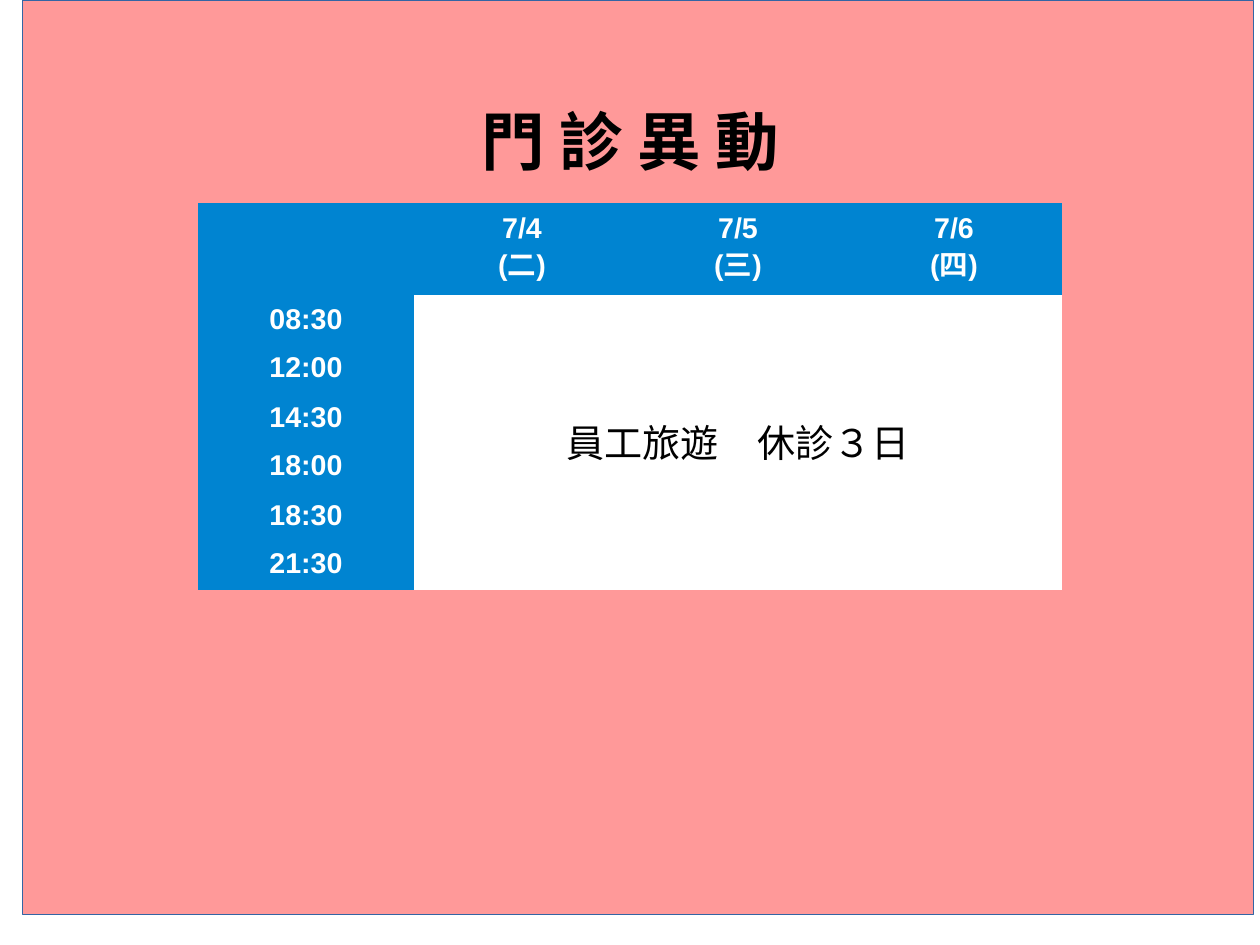
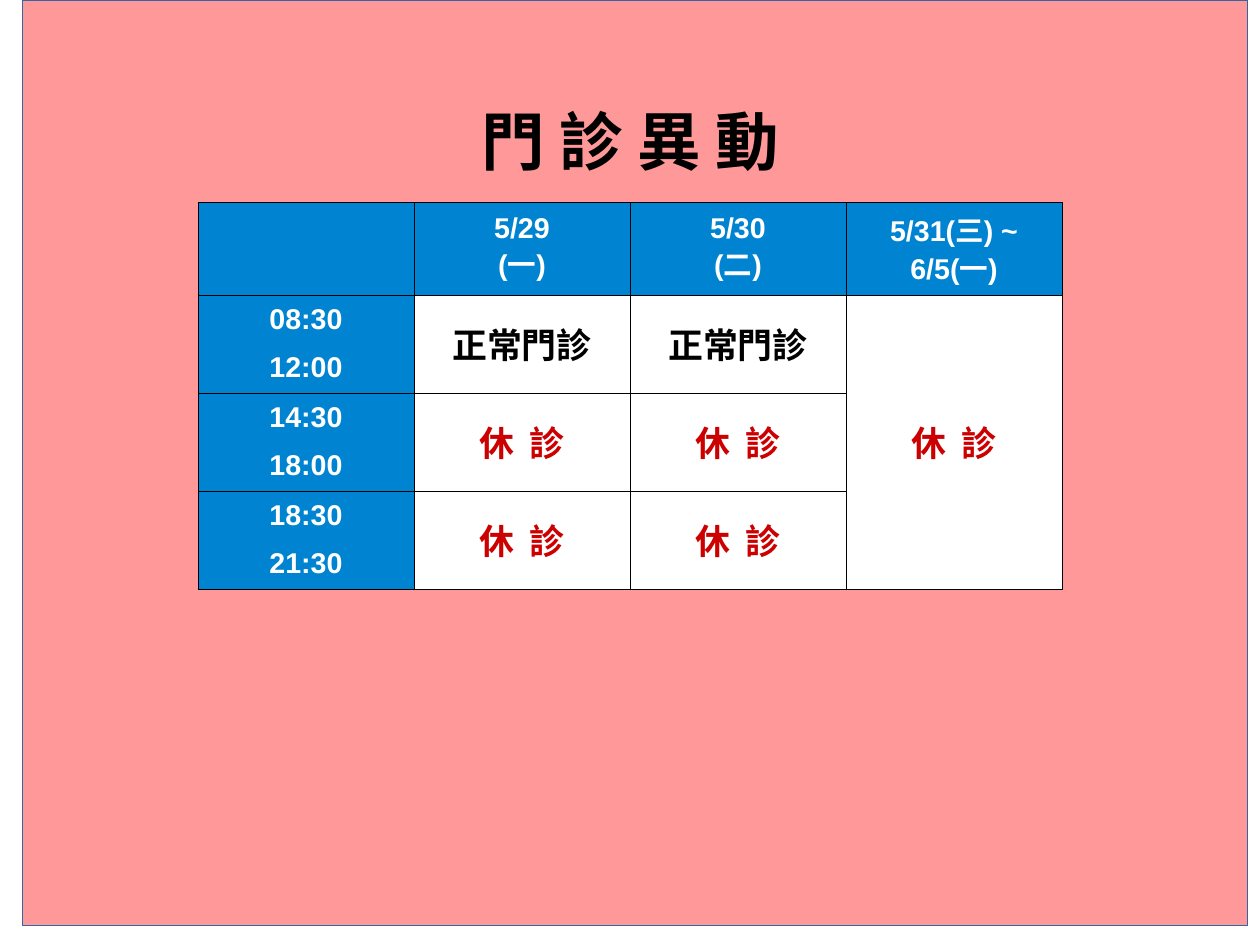
from lxml import etree
from pptx import Presentation
from pptx.dml.color import RGBColor
from pptx.enum.shapes import MSO_SHAPE
from pptx.enum.text import MSO_ANCHOR, PP_ALIGN
from pptx.oxml.ns import qn
from pptx.util import Cm, Pt

RECT = MSO_SHAPE.RECTANGLE
MID = MSO_ANCHOR.MIDDLE
CENTER = PP_ALIGN.CENTER

PINK, EDGE, BLUE = "FF9999", "3465A4", "0084D1"
WHITE, BLACK, RED = "FFFFFF", "000000", "CC0000"
PLAIN = "{2D5ABB26-0587-4C30-8999-92F81FD0307C}"  # table style without grid
HOURS = ["08:30\n12:00", "14:30\n18:00", "18:30\n21:30"]
LEFT, COL, HEAD, ROW = 4.4, 4.8, 2.06, 2.18
COLS = 4
WIDE = COL * COLS
TALL = HEAD + ROW * len(HOURS)


def color(code):
    return RGBColor.from_string(code)


class Deck:
    def __init__(self):
        self.prs = Presentation()
        self.prs.slide_width, self.prs.slide_height = Cm(28), Cm(21)
        self.slide = None

    def page(self, top, width, height):
        """Start a slide with its pink panel and title."""
        self.slide = self.prs.slides.add_slide(self.prs.slide_layouts[6])
        panel = self.slide.shapes.add_shape(
            RECT, Cm(0.5), Cm(top), Cm(width), Cm(height))
        panel.shadow.inherit = False
        panel.fill.solid()
        panel.fill.fore_color.rgb = color(PINK)
        panel.line.color.rgb = color(EDGE)
        panel.line.width = Pt(0)
        self.title("門 診 異 動")

    def title(self, text):
        box = self.slide.shapes.add_textbox(
            Cm(LEFT), Cm(1.9), Cm(WIDE), Cm(2.51))
        frame = box.text_frame
        frame.word_wrap = True
        frame.vertical_anchor = MID
        frame.margin_left = frame.margin_right = frame.margin_bottom = 0
        frame.margin_top = Cm(0.1)
        self.text(frame, text, 40, BLACK, "Calibri")

    def text(self, frame, text, size, tint, face, bold=True, gap=0, line=0.93):
        frame.text = text
        for para in frame.paragraphs:
            para.alignment = CENTER
            para.line_spacing = line
            para.space_before = para.space_after = Pt(gap)
            for run in para.runs:
                font = run.font
                font.name, font.size, font.bold = face, Pt(size), bold
                font.color.rgb = color(tint)

    def table(self, days, grid=False):
        """Add the timetable with its blue heads and white body."""
        table = self.slide.shapes.add_table(
            len(HOURS) + 1, COLS, Cm(LEFT), Cm(4.5), Cm(WIDE), Cm(TALL)).table
        table._tbl.tblPr.find(qn("a:tableStyleId")).text = PLAIN
        for col in table.columns:
            col.width = Cm(COL)
        for i, row in enumerate(table.rows):
            row.height = Cm(ROW if i else HEAD)
            for j, cell in enumerate(row.cells):
                cell.vertical_anchor = MID
                if grid:
                    self.border(cell)
                cell.fill.solid()
                cell.fill.fore_color.rgb = color(WHITE if i and j else BLUE)
        for j, day in enumerate(days, 1):
            self.text(table.cell(0, j).text_frame, day, 18, WHITE, "Arial",
                      line=0.94)
        for i, hour in enumerate(HOURS, 1):
            self.text(table.cell(i, 0).text_frame, hour, 18, WHITE, "Arial",
                      gap=5.7, line=0.94)
        return table

    def border(self, cell):
        props = cell._tc.get_or_add_tcPr()
        for side in ("a:lnL", "a:lnR", "a:lnT", "a:lnB"):
            line = etree.SubElement(props, qn(side), w=str(Pt(0.68)))
            fill = etree.SubElement(line, qn("a:solidFill"))
            etree.SubElement(fill, qn("a:srgbClr"), val=BLACK)

    def save(self):
        self.prs.save("out.pptx")


def main():
    deck = Deck()

    # Three days closed
    deck.page(0.02, 27.36, 20.3)
    table = deck.table(["7/4\n(二)", "7/5\n(三)", "7/6\n(四)"])
    body = table.cell(1, 1)
    body.merge(table.cell(3, 3))
    deck.text(body.text_frame, "員工旅遊　休診３日", 24, BLACK, "Arial",
              bold=False, gap=5.7)

    # Mornings open, then closed
    deck.page(0, 27.23, 20.57)
    table = deck.table(["5/29\n(一)", "5/30\n(二)", "5/31(三) ~\n6/5(一)"],
                       grid=True)
    table.cell(1, 3).merge(table.cell(3, 3))
    for j in (1, 2):
        deck.text(table.cell(1, j).text_frame, "正常門診", 22, BLACK,
                  "Calibri", gap=5.7)
    for i, j in ((1, 3), (2, 1), (2, 2), (3, 1), (3, 2)):
        deck.text(table.cell(i, j).text_frame, "休  診", 22, RED, "Calibri")

    deck.save()


if __name__ == "__main__":
    main()
